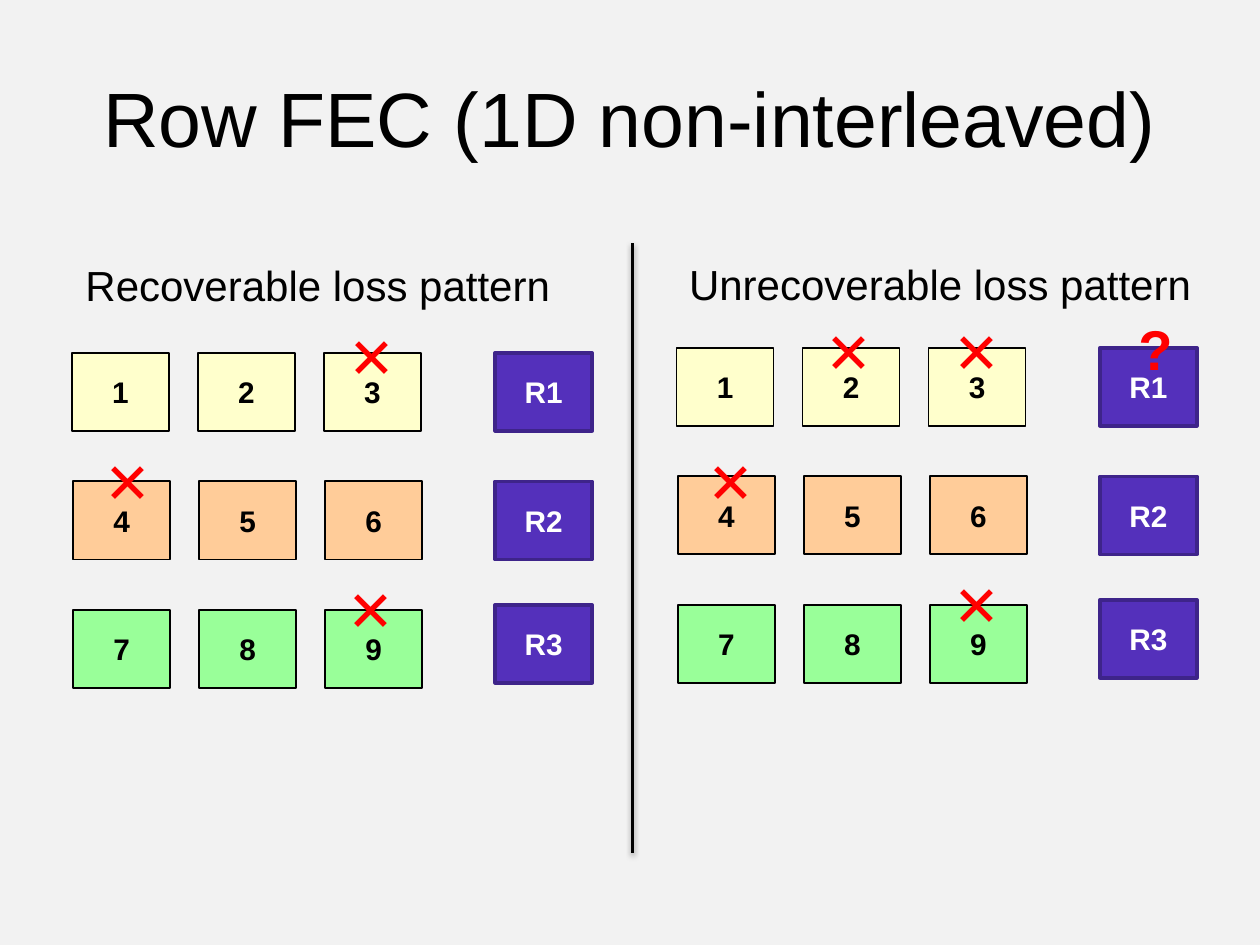
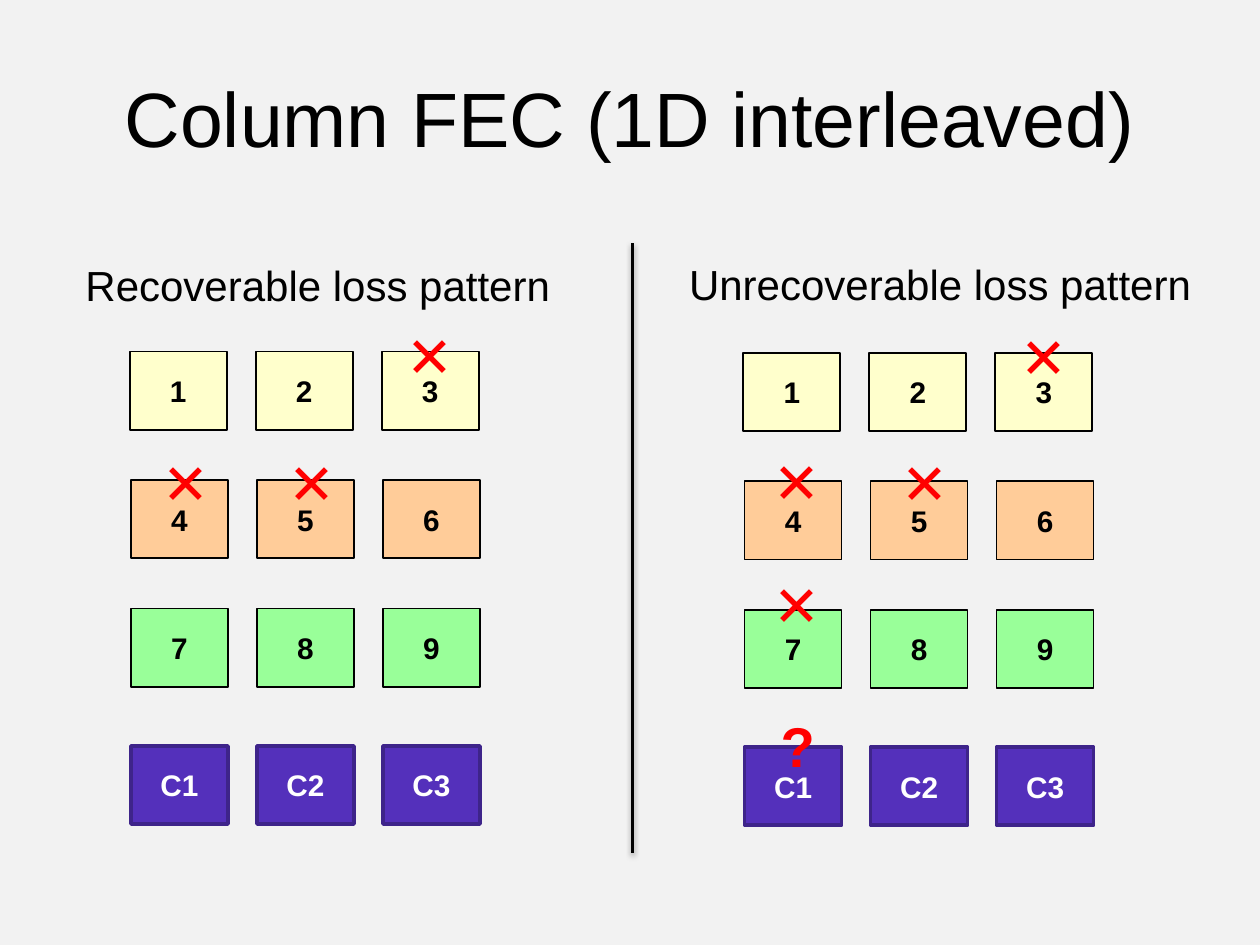
"""Two slides comparing recoverable and unrecoverable loss under row and column FEC."""
from dataclasses import dataclass
from typing import NamedTuple

from lxml import etree
from pptx import Presentation
from pptx import util as u
from pptx.dml.color import RGBColor
from pptx.enum import shapes, text
from pptx.oxml.ns import qn


@dataclass(frozen=True)
class Theme:
    """Colours, font and type sizes used on every slide."""
    background: str = "F2F2F2"
    ink: str = "000000"
    light: str = "FFFFFF"
    loss: str = "FF0000"
    rows: tuple = ("FFFFCC", "FFCC99", "99FF99")
    parity: str = "5430BB"
    parity_edge: str = "3E248A"
    font: str = "Arial"
    title: int = 44
    heading: int = 24
    mark: int = 32
    cell: int = 17


class Box(NamedTuple):
    """Left, top, width and height in inches."""
    left: float
    top: float
    width: float
    height: float

    def emu(self) -> list:
        """Return the four lengths for python-pptx."""
        return [u.Inches(length) for length in self]


class Mark(NamedTuple):
    """A sign on a packet, offset from the packet's top left corner."""
    packet: str
    dx: float
    dy: float
    sign: str = "✕"


@dataclass(frozen=True)
class Panel:
    """A 3 by 3 packet block with its repair packets and loss marks."""
    left: float
    top: float
    marks: tuple


@dataclass(frozen=True)
class Scheme:
    """One slide: title, repair packet places relative to a panel, panels."""
    title: str
    parity: dict
    panels: tuple


THEME = Theme()
CELL_WIDTH, CELL_HEIGHT = 0.77, 0.62
COLUMN_STEP, ROW_STEP = 1.0, 1.02
LOWER_ROW_SHIFT = 0.01
MARK_WIDTHS = {"✕": 0.65, "?": 0.48}
MARK_HEIGHT = 0.64
TITLE_BOX = Box(0.5, 0.3, 9, 1.25)
HEADINGS = {
    "Recoverable loss pattern": Box(0.58, 2.01, 4, 0.5),
    "Unrecoverable loss pattern": Box(5.37, 2, 4.38, 0.5),
}
DIVIDER_X, DIVIDER_TOP, DIVIDER_BOTTOM = 5.02, 1.93, 6.77

SCHEMES = (
    Scheme(
        "Row FEC (1D non-interleaved)",
        {"R1": (3.36, 0), "R2": (3.36, 1.02), "R3": (3.36, 2)},
        (
            Panel(0.57, 2.8, (Mark("3", 0.06, -0.29), Mark("4", 0.11, -0.32),
                              Mark("9", 0.04, -0.32))),
            Panel(5.37, 2.76, (Mark("2", 0.04, -0.29), Mark("3", 0.06, -0.29),
                               Mark("4", 0.1, -0.28), Mark("9", 0.05, -0.32),
                               Mark("R1", 0.2, -0.31, "?"))),
        ),
    ),
    Scheme(
        "Column FEC (1D interleaved)",
        {f"C{n + 1}": (LOWER_ROW_SHIFT + n * COLUMN_STEP, 3.13) for n in range(3)},
        (
            Panel(1.03, 2.79, (Mark("3", 0.06, -0.29), Mark("4", 0.11, -0.3),
                               Mark("5", 0.11, -0.3))),
            Panel(5.9, 2.8, (Mark("3", 0.06, -0.29), Mark("4", 0.09, -0.32),
                             Mark("5", 0.11, -0.31), Mark("7", 0.09, -0.36),
                             Mark("C1", 0.18, -0.33, "?"))),
        ),
    ),
)


def write(frame, words: str, size: int, color: str, bold: bool = False,
          wrap: bool = False, align=text.PP_ALIGN.CENTER,
          anchor=text.MSO_ANCHOR.MIDDLE) -> None:
    """Put one formatted line of text into a text frame."""
    frame.word_wrap = wrap
    frame.vertical_anchor = anchor
    line = frame.paragraphs[0]
    line.alignment = align
    run = line.add_run()
    run.text = words
    for name, value in {"name": THEME.font, "size": u.Pt(size), "bold": bold}.items():
        setattr(run.font, name, value)
    run.font.color.rgb = RGBColor.from_string(color)


def draw_packet(parts, label: str, left: float, top: float, fill: str,
                edge: str = THEME.ink, edge_width: float = 1,
                ink: str = THEME.ink) -> None:
    """Draw one labelled packet."""
    packet = parts.add_shape(shapes.MSO_SHAPE.RECTANGLE,
                             *Box(left, top, CELL_WIDTH, CELL_HEIGHT).emu())
    packet.shadow.inherit = False
    packet.fill.solid()
    packet.fill.fore_color.rgb = RGBColor.from_string(fill)
    packet.line.color.rgb = RGBColor.from_string(edge)
    packet.line.width = u.Pt(edge_width)
    write(packet.text_frame, label, THEME.cell, ink, bold=True)


def draw_panel(slide, panel: Panel, parity: dict) -> None:
    """Draw source packets, repair packets and loss marks as one group."""
    parts = slide.shapes.add_group_shape().shapes
    places = {}
    for number in range(9):
        row, column = divmod(number, 3)
        shift = LOWER_ROW_SHIFT if row else 0
        place = (panel.left + shift + column * COLUMN_STEP, panel.top + row * ROW_STEP)
        places[str(number + 1)] = place
        draw_packet(parts, str(number + 1), *place, THEME.rows[row])
    for label, (dx, dy) in parity.items():
        places[label] = (panel.left + dx, panel.top + dy)
        draw_packet(parts, label, *places[label], THEME.parity,
                    THEME.parity_edge, 2, THEME.light)
    for mark in panel.marks:
        left, top = places[mark.packet]
        box = Box(left + mark.dx, top + mark.dy, MARK_WIDTHS[mark.sign], MARK_HEIGHT)
        sign = parts.add_textbox(*box.emu())
        write(sign.text_frame, mark.sign, THEME.mark, THEME.loss, bold=True,
              anchor=text.MSO_ANCHOR.TOP)


def draw_divider(slide) -> None:
    """Draw the vertical rule with its soft shadow."""
    x = u.Inches(DIVIDER_X)
    divider = slide.shapes.add_connector(
        shapes.MSO_CONNECTOR.STRAIGHT, x, u.Inches(DIVIDER_TOP), x, u.Inches(DIVIDER_BOTTOM))
    divider.line.color.rgb = RGBColor.from_string(THEME.ink)
    divider.line.width = u.Pt(2)
    properties = divider.line._get_or_add_ln().getparent()
    effects = etree.SubElement(properties, qn("a:effectLst"))
    shadow = etree.SubElement(effects, qn("a:outerShdw"), blurRad=str(u.Pt(3.1)),
                              dist=str(u.Pt(1.6)), dir="5400000", rotWithShape="0")
    color = etree.SubElement(shadow, qn("a:srgbClr"), val=THEME.ink)
    etree.SubElement(color, qn("a:alpha"), val="38000")


def draw_frame(slide, title: str) -> None:
    """Draw the background, title, headings and divider that slides share."""
    slide.background.fill.solid()
    slide.background.fill.fore_color.rgb = RGBColor.from_string(THEME.background)
    title_box = slide.shapes.add_textbox(*TITLE_BOX.emu())
    write(title_box.text_frame, title, THEME.title, THEME.ink, wrap=True)
    for words, box in HEADINGS.items():
        heading = slide.shapes.add_textbox(*box.emu())
        write(heading.text_frame, words, THEME.heading, THEME.ink, wrap=True,
              align=text.PP_ALIGN.LEFT, anchor=text.MSO_ANCHOR.TOP)
    draw_divider(slide)


def main() -> None:
    """Build and save the presentation."""
    deck = Presentation()
    deck.slide_width, deck.slide_height = u.Inches(10), u.Inches(7.5)
    for scheme in SCHEMES:
        slide = deck.slides.add_slide(deck.slide_layouts[6])
        draw_frame(slide, scheme.title)
        for panel in scheme.panels:
            draw_panel(slide, panel, scheme.parity)
    deck.save("out.pptx")


main()
